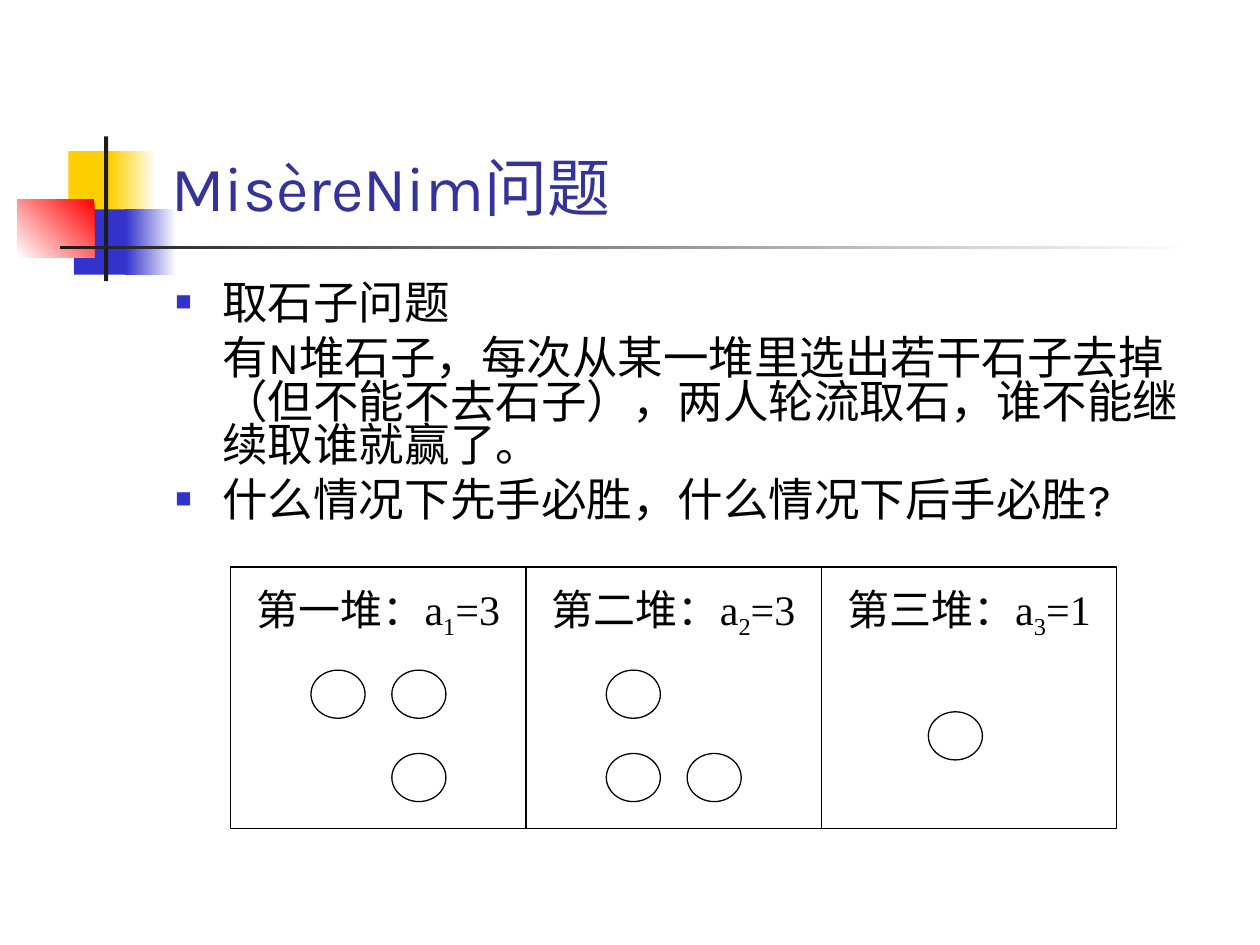
from lxml.etree import SubElement
from pptx import Presentation
from pptx.dml.color import RGBColor
from pptx.enum.shapes import MSO_SHAPE as Shape
from pptx.enum.text import MSO_ANCHOR as Anchor, MSO_AUTO_SIZE as AutoSize, PP_ALIGN as Align
from pptx.oxml.ns import qn
from pptx.util import Cm, Pt

PILES = [
    ("第一堆：a", "1", "=3", [(0, 0), (1, 0), (1, 1)]),
    ("第二堆：a", "2", "=3", [(0, 0), (1, 1), (0, 1)]),
    ("第三堆：a", "3", "=1", [(0.33, 0.5)]),
]
BODY = [
    ("取石子问题", True),
    ("有N堆石子，每次从某一堆里选出若干石子去掉（但不能不去石子），两人轮流取石，谁不能继续取谁就赢了。", False),
    ("什么情况下先手必胜，什么情况下后手必胜?", True),
]


def color(value):
    """Return the colour for a hex string."""
    return RGBColor.from_string(value)


def add_run(paragraph, text, size=24, font="Times New Roman", fill="000000", baseline=None):
    """Append formatted text to a paragraph."""
    run = paragraph.add_run()
    run.text = text
    run.font.size = Pt(size)
    run.font.name = font
    run.font.color.rgb = color(fill)
    if baseline is not None:
        run.font._element.set("baseline", str(baseline))


def add_block(slide, box, fill, kind=Shape.RECTANGLE, line=None, end=None, angle=0):
    """Draw a shape with a solid fill, or a gradient when an end colour is given."""
    shape = slide.shapes.add_shape(kind, *map(Cm, box))
    shape.shadow.inherit = False
    if end:
        shape.fill.gradient()
        shape.fill.gradient_angle = angle
        for stop, value in zip(shape.fill.gradient_stops, (fill, end)):
            stop.color.rgb = color(value)
    else:
        shape.fill.solid()
        shape.fill.fore_color.rgb = color(fill)
    if line:
        shape.line.color.rgb = color(line)
        shape.line.width = Pt(0.75)
    else:
        shape.line.fill.background()


def add_ornament(slide, left, top):
    """Draw the coloured squares and the two crossing bars."""
    blocks = [
        ((1.03, 0.3, 1.22, 1.32), "FFCF01", None, 0),
        ((1.88, 0.3, 0.91, 1.32), "FFFFFF", "FFCF01", 180),
        ((1.14, 1.47, 1.17, 1.32), "3333CC", None, 0),
        ((2.18, 1.47, 1.02, 1.32), "FFFFFF", "3333CC", 180),
        ((0, 1.27, 1.55, 1.17), "FF0000", "FFFFFF", 225),
        ((1.75, 0, 0.08, 2.92), "1C1C1C", None, 0),
        ((0.86, 2.2, 22.86, 0.08), "FFFFFF", "1C1C1C", 180),
    ]
    for (x, y, width, height), fill, end, angle in blocks:
        add_block(slide, (left + x, top + y, width, height), fill, end=end, angle=angle)


def place(shape, box, anchor):
    """Move a placeholder to a box above the ornament and return its text frame."""
    shape.left, shape.top, shape.width, shape.height = map(Cm, box)
    slide_tree = shape._element.getparent()
    slide_tree.append(shape._element)
    frame = shape.text_frame
    frame.auto_size = AutoSize.NONE
    frame.vertical_anchor = anchor
    return frame


def fill_title(shape, box):
    """Write the slide title."""
    paragraph = place(shape, box, Anchor.BOTTOM).paragraphs[0]
    paragraph.alignment = Align.LEFT
    add_run(paragraph, "MisèreNim问题", size=36, font="Karla", fill="333399")


def set_bullet(paragraph, visible):
    """Give a paragraph its indent and a square bullet, or no bullet."""
    properties = paragraph._p.get_or_add_pPr()
    properties.set("marL", str(Cm(0.95)))
    properties.set("indent", str(Cm(-0.95) if visible else 0))
    if visible:
        bullet_color = SubElement(properties, qn("a:buClr"))
        SubElement(bullet_color, qn("a:srgbClr"), val="3333CC")
        SubElement(properties, qn("a:buSzPct"), val="60000")
        SubElement(properties, qn("a:buChar"), char="■")
    else:
        SubElement(properties, qn("a:buNone"))


def fill_body(shape, box):
    """Write the problem statement."""
    frame = place(shape, box, Anchor.TOP)
    for index, (text, bulleted) in enumerate(BODY):
        paragraph = frame.add_paragraph() if index else frame.paragraphs[0]
        paragraph.line_spacing = 0.8
        paragraph.space_before = Pt(6.5)
        set_bullet(paragraph, bulleted)
        add_run(paragraph, text, size=26, font="Karla")


def add_pile(slide, box, label, subscript, count, stones):
    """Draw one pile: a frame, its stones and its label."""
    left, top, width, height = box
    add_block(slide, box, "FFFFFF", line="000000")
    for column, row in stones:
        stone = (left + 1.62 + 1.63 * column, top + 2.08 + 1.68 * row, 1.09, 0.97)
        add_block(slide, stone, "FFFFFF", kind=Shape.OVAL, line="000000")
    text_box = slide.shapes.add_textbox(*map(Cm, (left, top + 0.2, width, 1.88)))
    frame = text_box.text_frame
    frame.word_wrap = True
    paragraph = frame.paragraphs[0]
    paragraph.alignment = Align.CENTER
    paragraph.space_before = Pt(15)
    add_run(paragraph, label)
    add_run(paragraph, subscript, baseline=-25000)
    add_run(paragraph, count)


def add_piles(slide, left, top, width, height):
    """Draw the piles side by side in equal columns."""
    column_width = width / len(PILES)
    for index, pile in enumerate(PILES):
        add_pile(slide, (left + index * column_width, top, column_width, height), *pile)


def main():
    """Build and save the slide."""
    presentation = Presentation()
    presentation.slide_width, presentation.slide_height = Cm(25.4), Cm(19.05)
    slide = presentation.slides.add_slide(presentation.slide_layouts[1])
    add_ornament(slide, 0.35, 2.75)
    fill_title(slide.shapes.title, (3.2, 0.58, 21.64, 4.06))
    fill_body(slide.placeholders[1], (3.28, 5.61, 21.59, 5.61))
    add_piles(slide, 4.65, 11.43, 17.86, 5.28)
    presentation.save("out.pptx")


if __name__ == "__main__":
    main()
